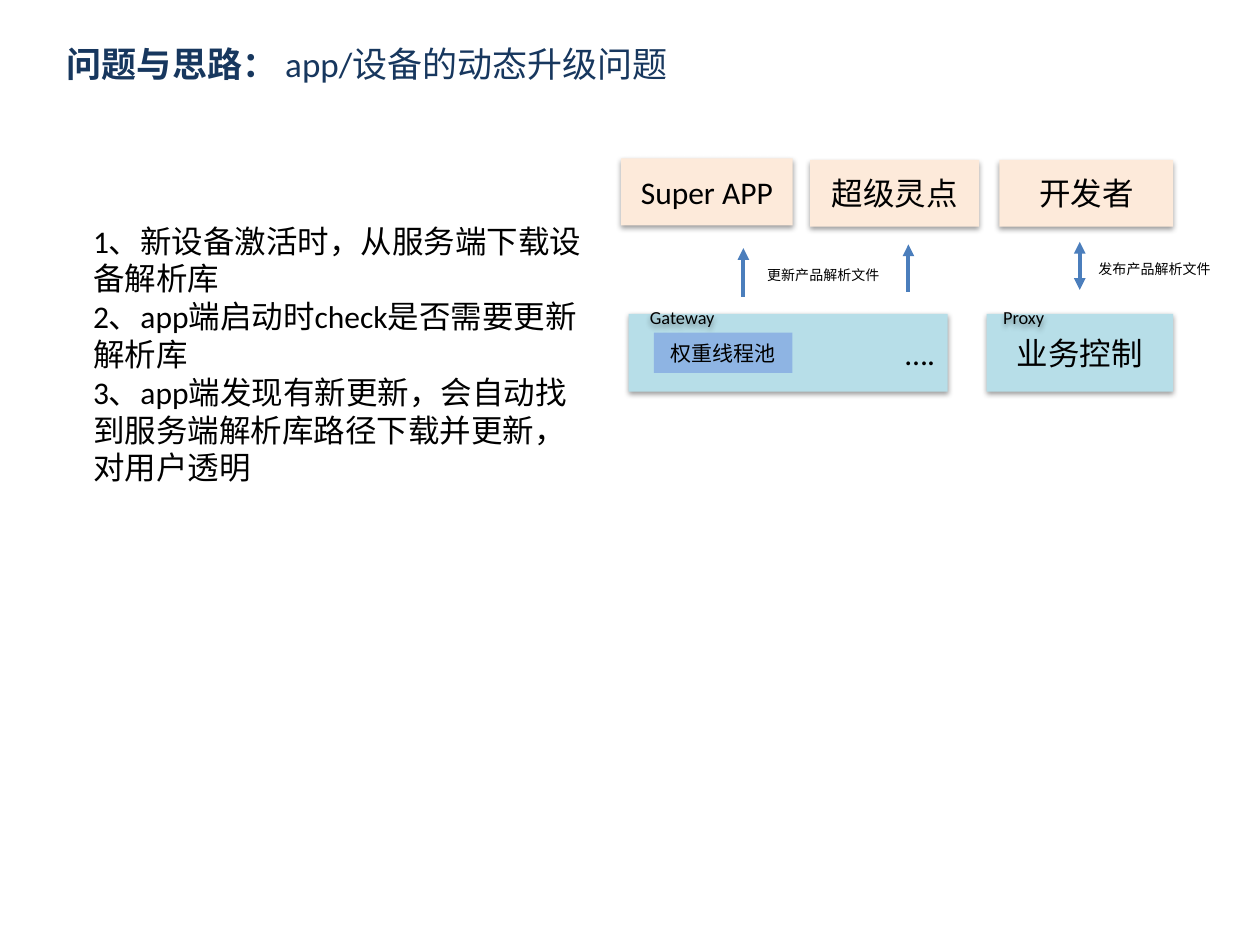
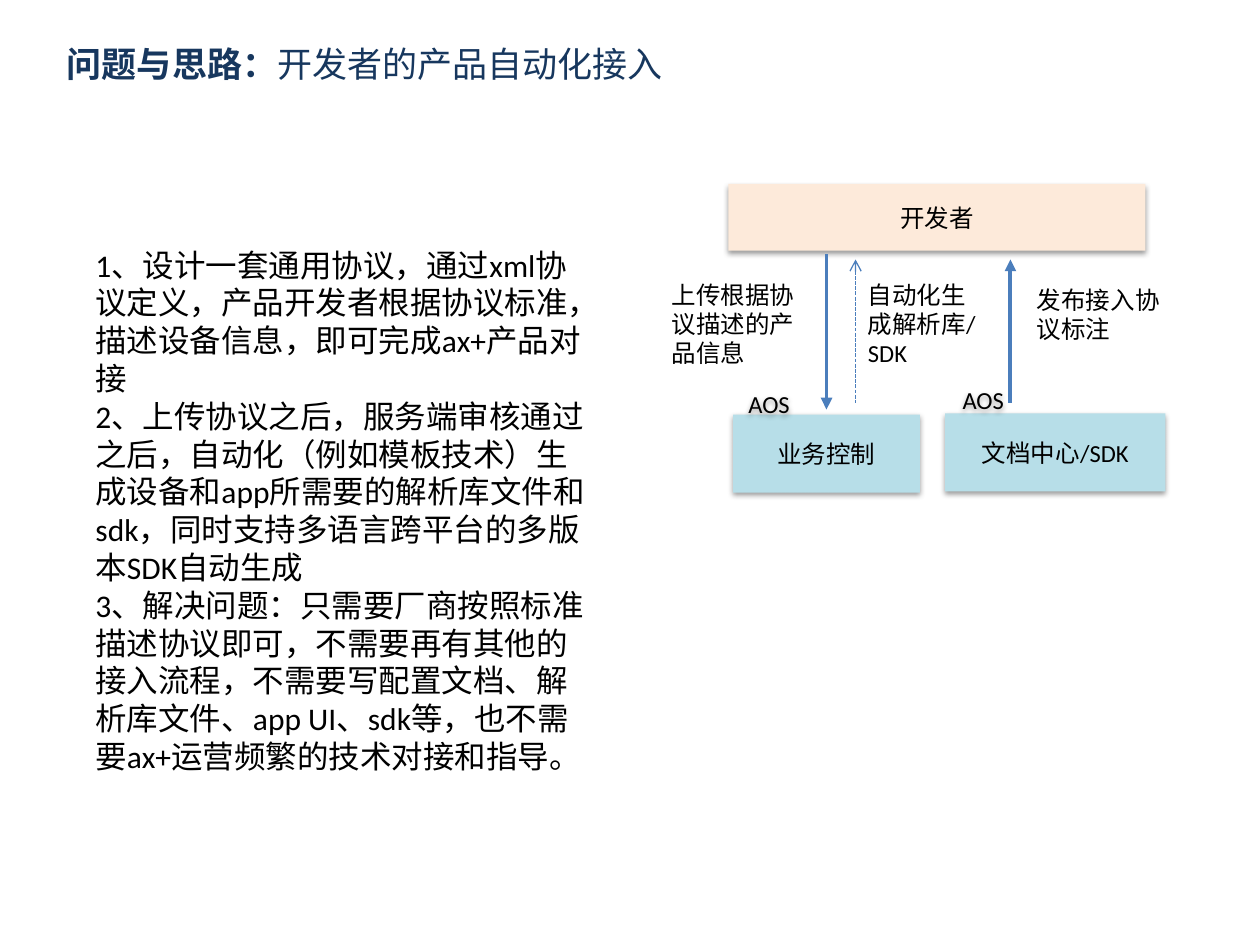
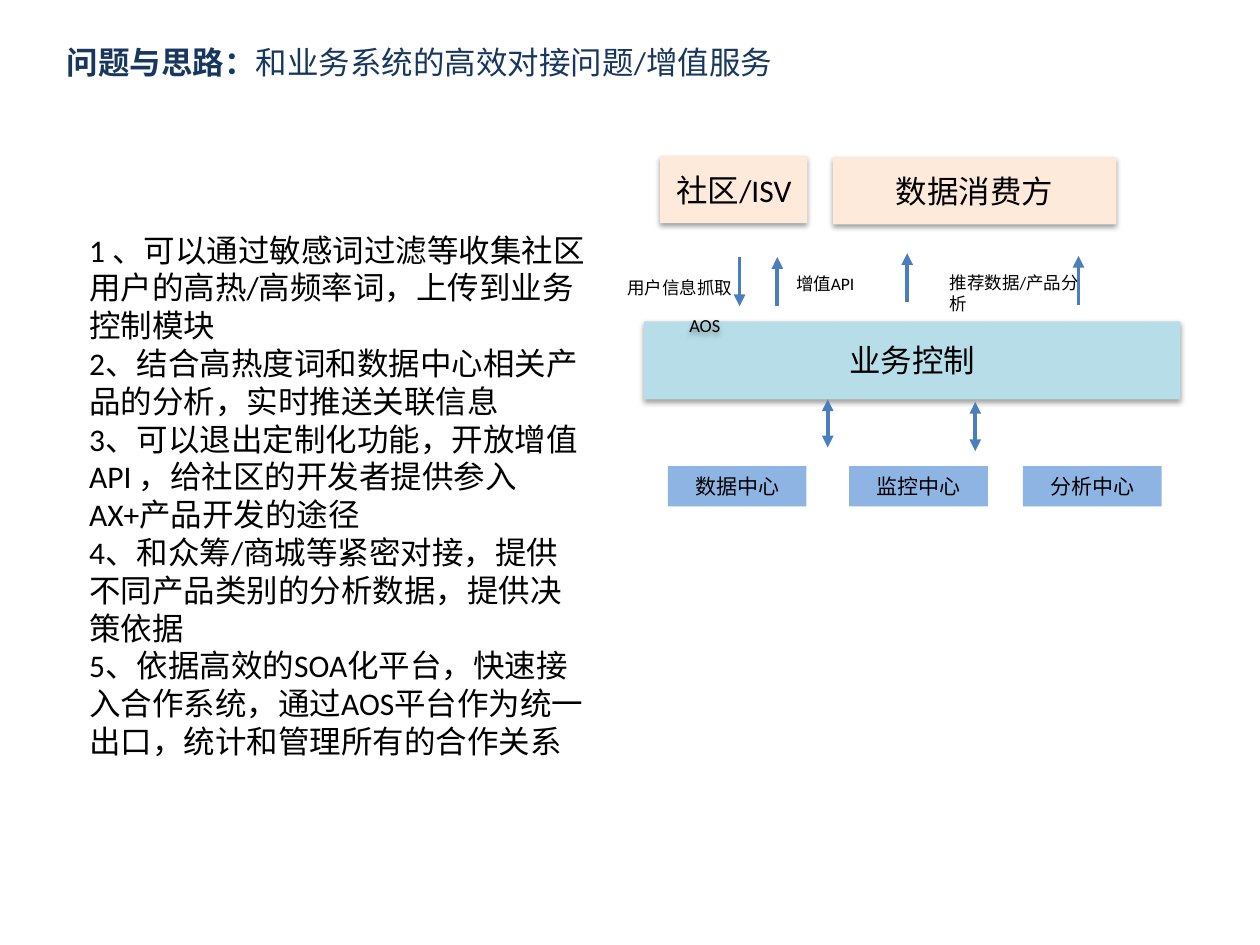
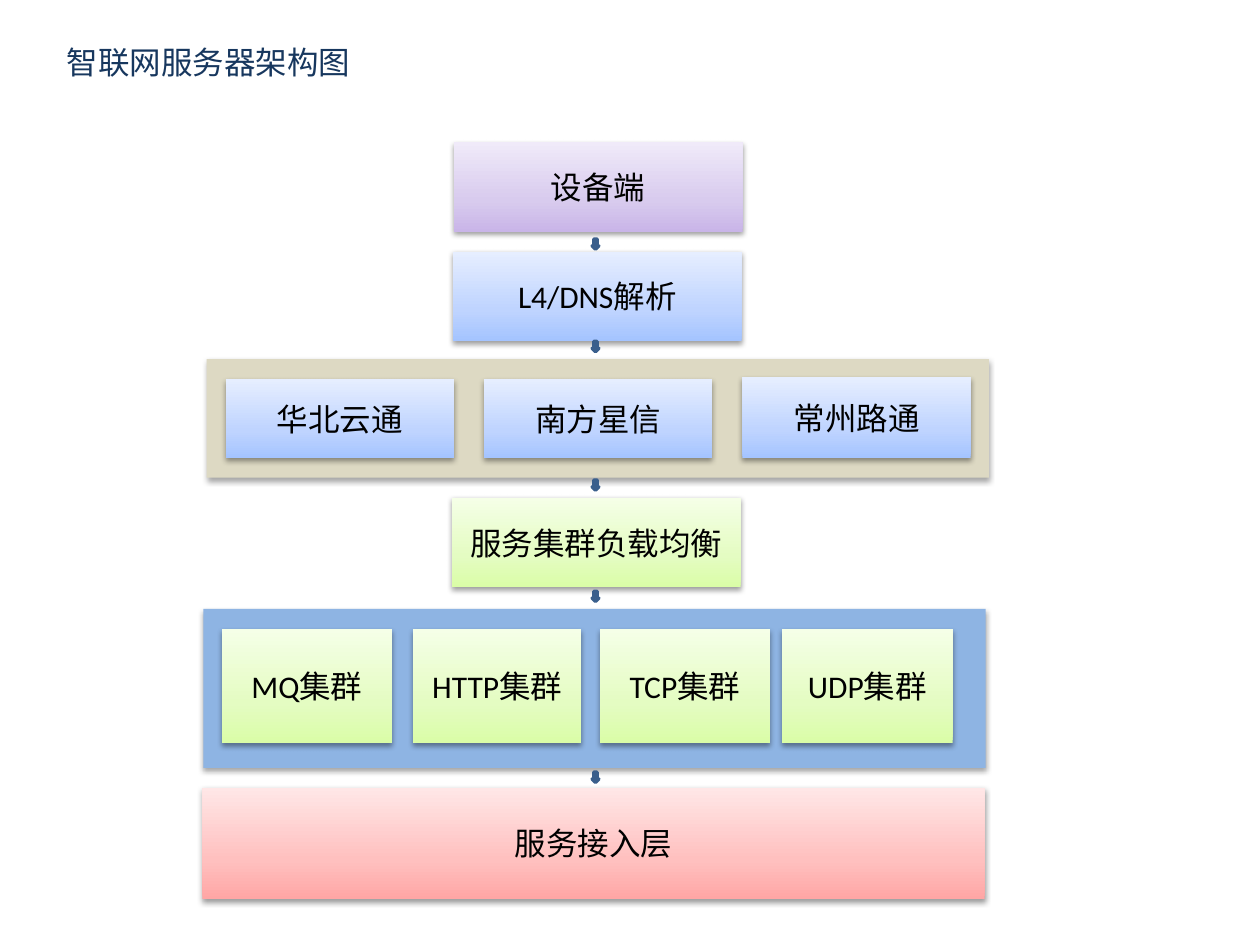
from copy import deepcopy
from dataclasses import dataclass
from typing import Any, Optional

from lxml.etree import SubElement
from pptx import Presentation
from pptx.dml.color import RGBColor
from pptx.enum.dml import MSO_LINE
from pptx.enum.shapes import MSO_CONNECTOR, MSO_SHAPE
from pptx.enum.text import MSO_ANCHOR, MSO_AUTO_SIZE, PP_ALIGN
from pptx.oxml.ns import qn
from pptx.util import Pt

FONT = "Calibri"
BLACK, NAVY = "000000", "17375E"
PEACH, AQUA, BLUE, SAND = "FDEADA", "B7DEE8", "8EB4E3", "DDD9C3"
ARROW_BLUE, MARKER_FILL, MARKER_LINE = "4B7EBC", "4F81BD", "3A5F8C"
PURPLE_FADE = ("C9B5E8", "D8CBEE", "F0EAF9")
BLUE_FADE = ("A4C4FF", "BFD4FF", "E6EEFF")
GREEN_FADE = ("DAFDA7", "E4FCC2", "F5FFE7")
RED_FADE = ("FFA6A5", "FFC0BF", "FFE7E7")
FADE_POSITIONS = (0, 0.35, 1)
TOPIC = "问题与思路："

TITLE_FRAME = {"word_wrap": True, "auto_size": MSO_AUTO_SIZE.NONE, "vertical_anchor": MSO_ANCHOR.TOP}
NOTE_FRAME = {"word_wrap": True, "auto_size": MSO_AUTO_SIZE.SHAPE_TO_FIT_TEXT, "vertical_anchor": MSO_ANCHOR.TOP}
BOX_FRAME = {"word_wrap": True, "auto_size": MSO_AUTO_SIZE.NONE, "vertical_anchor": MSO_ANCHOR.MIDDLE}


@dataclass(frozen=True)
class Shadow:
    """A soft shadow that falls straight down."""
    opacity: int
    distance: float
    blur: float = 3.15


BOX_SHADOW = Shadow(38, 1.57)
PANEL_SHADOW = Shadow(35, 1.81)


@dataclass(frozen=True)
class Box:
    """A filled rectangle; three fill colours make a gradient."""
    text: str
    left: float
    top: float
    width: float
    height: float
    fill: str | tuple[str, ...]
    size: float = 18
    align: PP_ALIGN = PP_ALIGN.CENTER
    shadow: Optional[Shadow] = BOX_SHADOW


@dataclass(frozen=True)
class Note:
    """Left-aligned text that stands free, one paragraph a line."""
    text: str
    left: float
    top: float
    width: float
    height: float
    size: float = 18


@dataclass(frozen=True)
class Label:
    """A small caption on the edge of a service box."""
    text: str
    left: float
    top: float
    width: float
    size: float = 10.5


@dataclass(frozen=True)
class Arrow:
    """A vertical arrow with a head at one or both ends."""
    x: float
    top: float
    bottom: float
    up: Optional[str] = "triangle"
    down: Optional[str] = None
    width: float = 2.25
    dash: Optional[MSO_LINE] = None


@dataclass(frozen=True)
class Marker:
    """A tiny block arrow between two layers."""
    top: float


def color(value: str) -> RGBColor:
    """Turn a hex string into a colour."""
    return RGBColor.from_string(value)


def apply(target: Any, values: dict[str, Any]) -> None:
    """Set every attribute named in the dict."""
    for name, value in values.items():
        setattr(target, name, value)


def place(shape: Any, left: float, top: float, width: float, height: float) -> None:
    """Move and size a shape in points."""
    apply(shape, {"left": Pt(left), "top": Pt(top), "width": Pt(width), "height": Pt(height)})


def add_run(paragraph: Any, text: str, size: float, text_color: str = BLACK, bold: bool = False) -> None:
    """Add one formatted run."""
    run = paragraph.add_run()
    run.text = text
    apply(run.font, {"name": FONT, "size": Pt(size), "bold": bold})
    run.font.color.rgb = color(text_color)


def write(shape: Any, text: str, size: float, align: PP_ALIGN, frame_format: dict[str, Any]) -> None:
    """Fill a shape with text, one paragraph a line."""
    frame = shape.text_frame
    apply(frame, frame_format)
    for number, line in enumerate(text.split("\n")):
        paragraph = frame.add_paragraph() if number else frame.paragraphs[0]
        paragraph.alignment = align
        add_run(paragraph, line, size)


def set_shadow(shape: Any, shadow: Optional[Shadow]) -> None:
    """Replace the theme shadow with the given one or with none."""
    shape.shadow.inherit = False
    if shadow is None:
        return
    effects = shape.element.spPr.find(qn("a:effectLst"))
    outer = SubElement(effects, qn("a:outerShdw"), blurRad=str(Pt(shadow.blur)),
                       dist=str(Pt(shadow.distance)), dir="5400000", rotWithShape="0")
    tint = SubElement(outer, qn("a:srgbClr"), val=BLACK)
    SubElement(tint, qn("a:alpha"), val=str(shadow.opacity * 1000))


def set_fill(shape: Any, fill: str | tuple[str, ...]) -> None:
    """Give a shape a solid fill or an upward gradient."""
    if isinstance(fill, str):
        shape.fill.solid()
        shape.fill.fore_color.rgb = color(fill)
        return
    shape.fill.gradient()
    shape.fill.gradient_angle = 90
    stop_list = shape.element.spPr.find(f".//{qn('a:gsLst')}")
    stop_list.append(deepcopy(stop_list[0]))
    for stop, position, value in zip(shape.fill.gradient_stops, FADE_POSITIONS, fill):
        stop.position = position
        stop.color.rgb = color(value)


def draw_box(slide: Any, box: Box) -> None:
    """Draw a rectangle with its text."""
    shape = slide.shapes.add_shape(MSO_SHAPE.RECTANGLE, Pt(box.left), Pt(box.top), Pt(box.width), Pt(box.height))
    set_fill(shape, box.fill)
    shape.line.fill.background()
    set_shadow(shape, box.shadow)
    if box.text:
        write(shape, box.text, box.size, box.align, BOX_FRAME)


def draw_note(slide: Any, note: Note) -> None:
    """Draw free text."""
    shape = slide.shapes.add_textbox(Pt(note.left), Pt(note.top), Pt(note.width), Pt(note.height))
    write(shape, note.text, note.size, PP_ALIGN.LEFT, NOTE_FRAME)


def draw_label(slide: Any, label: Label) -> None:
    """Draw a centred caption."""
    shape = slide.shapes.add_textbox(Pt(label.left), Pt(label.top), Pt(label.width), Pt(17.3))
    set_shadow(shape, BOX_SHADOW)
    write(shape, label.text, label.size, PP_ALIGN.CENTER, BOX_FRAME)


def draw_arrow(slide: Any, arrow: Arrow) -> None:
    """Draw a vertical connector with its arrowheads."""
    connector = slide.shapes.add_connector(
        MSO_CONNECTOR.STRAIGHT, Pt(arrow.x), Pt(arrow.top), Pt(arrow.x), Pt(arrow.bottom))
    connector.line.color.rgb = color(ARROW_BLUE)
    apply(connector.line, {"width": Pt(arrow.width), "dash_style": arrow.dash})
    properties = connector.element.spPr
    for tag, head in (("a:headEnd", arrow.up), ("a:tailEnd", arrow.down)):
        if head:
            SubElement(properties.find(qn("a:ln")), qn(tag), type=head)
    SubElement(properties, qn("a:effectLst"))


def draw_marker(slide: Any, marker: Marker) -> None:
    """Draw a block arrow on the centre line of the layers."""
    shape = slide.shapes.add_shape(MSO_SHAPE.DOWN_ARROW, Pt(338.4), Pt(marker.top), Pt(3.8), Pt(5.8))
    set_fill(shape, MARKER_FILL)
    shape.line.color.rgb = color(MARKER_LINE)
    shape.line.width = Pt(2)
    set_shadow(shape, None)


DRAWERS = {Box: draw_box, Note: draw_note, Label: draw_label, Arrow: draw_arrow, Marker: draw_marker}


def add_slide(presentation: Any, topic: str, title: str, size: float, width: float, items: list[Any]) -> None:
    """Add a titled slide and draw its items from back to front."""
    slide = presentation.slides.add_slide(presentation.slide_layouts[5])
    heading = slide.shapes.title
    place(heading, 31, 20.9, width, 36.7)
    apply(heading.text_frame, TITLE_FRAME)
    paragraph = heading.text_frame.paragraphs[0]
    paragraph.alignment = PP_ALIGN.LEFT
    if topic:
        add_run(paragraph, topic, size, NAVY, True)
    add_run(paragraph, title, size, NAVY)
    for item in items:
        DRAWERS[type(item)](slide, item)


def client(text: str, left: float, top: float, width: float, size: float = 18) -> Box:
    """Describe a box of the client row."""
    return Box(text, left, top, width, 38.2, PEACH, size)


def service(text: str, left: float, top: float, width: float, size: float = 18,
            align: PP_ALIGN = PP_ALIGN.CENTER) -> Box:
    """Describe a box of the service row."""
    return Box(text, left, top, width, 44.6, AQUA, size, align)


def module(text: str, left: float, top: float) -> Box:
    """Describe a small flat module box."""
    return Box(text, left, top, 79.2, 23, BLUE, 12, shadow=None)


def layer(text: str, left: float, top: float, fill: tuple[str, ...]) -> Box:
    """Describe a single box of the server stack."""
    return Box(text, left, top, 165, 51.1, fill)


def panel(left: float, top: float, height: float, fill: str) -> Box:
    """Describe a wide panel behind a row of boxes."""
    return Box("", left, top, 447, height, fill, shadow=PANEL_SHADOW)


UPGRADE_ITEMS = [
    Note("1、新设备激活时，从服务端下载设备解析库\n"
         "2、app端启动时check是否需要更新解析库\n"
         "3、app端发现有新更新，会自动找到服务端解析库路径下载并更新，对用户透明", 46.1, 123.1, 300.2, 159.8),
    client("Super APP", 355, 90.6, 97.9),
    client("超级灵点", 463, 91.4, 96.5),
    client("开发者", 571, 91.4, 99.4),
    service("业务控制", 563.8, 179.3, 106.6),
    Label("Proxy", 560.9, 172.8, 48.2),
    service("….", 359.3, 179.3, 182.2, align=PP_ALIGN.RIGHT),
    Label("Gateway", 355, 172.8, 69.8),
    module("权重线程池", 373.7, 190.1),
    Note("发布产品解析文件", 620.6, 145.4, 87.8, 17.3, 8),
    Note("更新产品解析文件", 431.3, 149, 87.8, 17.3, 8),
    Arrow(424.8, 141.8, 169.9),
    Arrow(519.1, 139.7, 167),
    Arrow(617, 138.2, 165.6, down="triangle"),
]

ACCESS_ITEMS = [
    Note("1、设计一套通用协议，通过xml协议定义，产品开发者根据协议标准，描述设备信息，即可完成ax+产品对接\n"
         "2、上传协议之后，服务端审核通过之后，自动化（例如模板技术）生成设备和app所需要的解析库文件和sdk，"
         "同时支持多语言跨平台的多版本SDK自动生成\n"
         "3、解决问题：只需要厂商按照标准描述协议即可，不需要再有其他的接入流程，不需要写配置文档、解析库文件、"
         "app UI、sdk等，也不需要ax+运营频繁的技术对接和指导。", 47.5, 136.8, 300.2, 312.5),
    client("开发者", 416.2, 105.1, 238.3, 14),
    service("业务控制", 419, 236.9, 106.6, 14),
    Label("AOS", 415.4, 221.8, 48.2, 14),
    service("文档中心/SDK", 540, 236.2, 126, 14),
    Label("AOS", 537.8, 219.6, 48.2, 14),
    Note("上传根据协议描述的产品信息", 376.6, 156.2, 87.8, 58.3, 14),
    Note("发布接入协议标注", 585.4, 159.1, 87.8, 41, 14),
    Note("自动化生成解析库/SDK", 488.9, 156.2, 83.5, 58.3, 14),
    Arrow(472.3, 145.4, 234, up=None, down="triangle"),
    Arrow(577.4, 148.3, 230.4),
    Arrow(488.9, 148.3, 230.4, up="arrow", width=0.75, dash=MSO_LINE.SQUARE_DOT),
]

BUSINESS_ITEMS = [
    Note("1 、可以通过敏感词过滤等收集社区用户的高热/高频率词，上传到业务控制模块\n"
         "2、结合高热度词和数据中心相关产品的分析，实时推送关联信息\n"
         "3、可以退出定制化功能，开放增值API ，给社区的开发者提供参入AX+产品开发的途径\n"
         "4、和众筹/商城等紧密对接，提供不同产品类别的分析数据，提供决策依据\n"
         "5、依据高效的SOA化平台，快速接入合作系统，通过AOS平台作为统一出口，统计和管理所有的合作关系",
         43.9, 128.2, 300.2, 312.5),
    client("社区/ISV", 377.3, 89.3, 84.2),
    client("数据消费方", 475.9, 90, 162),
    service("业务控制", 367.9, 183.6, 306.7),
    Label("AOS", 360.7, 177.1, 84.2),
    module("数据中心", 381.6, 266.4),
    module("监控中心", 485.3, 266.4),
    module("分析中心", 584.6, 266.4),
    Note("用户信息抓取", 351.4, 154.8, 87.8, 19.4, 10),
    Note("增值API", 447.8, 152.6, 87.8, 19.4, 10),
    Note("推荐数据/产品分析", 535.7, 151.9, 87.8, 31.7, 10),
    Arrow(422.6, 146.9, 175, up=None, down="triangle"),
    Arrow(444.2, 146.9, 175),
    Arrow(518.4, 144.7, 172.8),
    Arrow(616.3, 146.2, 174.2),
    Arrow(473, 228.2, 255.6, down="triangle"),
    Arrow(557.3, 229.7, 257.8, down="triangle"),
]

CARRIERS = [("华北云通", 216.7), ("南方星信", 216.7), ("常州路通", 215.6)]
CLUSTERS = [("MQ", 126.7, 97.4), ("HTTP", 236, 96.2), ("TCP", 342.7, 97.4), ("UDP", 447, 97.4)]

SERVER_ITEMS = [
    layer("设备端", 259.3, 81.3, PURPLE_FADE),
    layer("L4/DNS解析", 258.8, 143.8, BLUE_FADE),
    panel(118.1, 205.2, 67.8, SAND),
    *(Box(name, 129 + 147.6 * column, top, 130.5, 261.9 - top, BLUE_FADE)
      for column, (name, top) in enumerate(CARRIERS)),
    layer("服务集群负载均衡", 258.3, 284.4, GREEN_FADE),
    panel(116.2, 347.9, 90.9, BLUE),
    *(Box(f"{name}集群", left, 359.4, width, 65.3, GREEN_FADE) for name, left, width in CLUSTERS),
    Box("服务接入层", 115.7, 450, 447, 63.8, RED_FADE),
    *(Marker(top) for top in (136.6, 195.1, 274.3, 337.9, 441.2)),
]


def main() -> None:
    """Build the presentation and save it."""
    presentation = Presentation()
    apply(presentation, {"slide_width": Pt(720), "slide_height": Pt(540)})
    add_slide(presentation, f"{TOPIC} ", "app/设备的动态升级问题", 20, 532.8, UPGRADE_ITEMS)
    add_slide(presentation, TOPIC, "开发者的产品自动化接入", 20, 499, ACCESS_ITEMS)
    add_slide(presentation, TOPIC, "和业务系统的高效对接问题/增值服务", 18, 526.3, BUSINESS_ITEMS)
    add_slide(presentation, "", "智联网服务器架构图", 18, 425.5, SERVER_ITEMS)
    presentation.save("out.pptx")


main()
